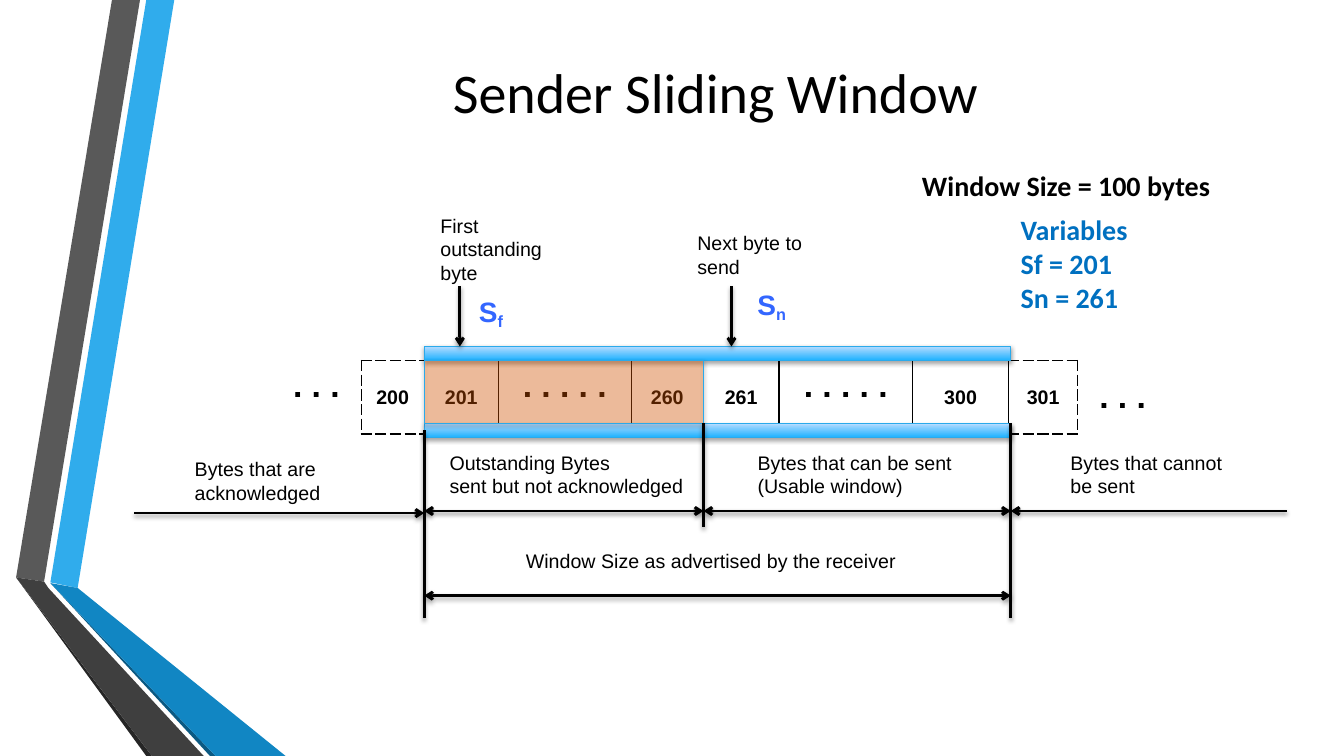
from pptx import Presentation
from pptx.dml.color import RGBColor as Rgb
from pptx.enum.shapes import MSO_CONNECTOR as Connector, MSO_SHAPE as Preset
from pptx.enum.text import MSO_ANCHOR as Anchor, PP_ALIGN as Align
from pptx.oxml.ns import qn
from pptx.util import Pt
from lxml.etree import SubElement

COLORS = {
    "black": "000000",
    "orange": "FF6600",
    "outline": "2AAAEB",
    "bar_dark": "1DB2FF",
    "bar_light": "B5DBFF",
    "variable": "0070C0",
    "pointer": "3366FF",
    "sky": "30ACEC",
    "gray": "595959",
    "charcoal": "262626",
    "navy": "0B5982",
    "blue": "1186C3",
    "dark_gray": "3F3F3F",
}


def color(name):
    return Rgb.from_string(COLORS[name])


class SlidePainter:
    def __init__(self, slide, font="Arial", size=14):
        self.slide = slide
        self.shapes = slide.shapes
        self.font = font
        self.size = size

    def add_run(self, paragraph, text, size=None, font=None, fill="black", bold=False):
        run = paragraph.add_run()
        run.text = text
        run.font.size = Pt(size or self.size)
        run.font.name = font or self.font
        run.font.bold = bold
        run.font.color.rgb = color(fill)
        return run

    def text(self, box, lines, subscript=None, align=Align.LEFT, anchor=Anchor.TOP, **style):
        frame = self.shapes.add_textbox(*map(Pt, box)).text_frame
        frame.word_wrap = True
        frame.vertical_anchor = anchor
        for index, line in enumerate(lines):
            paragraph = frame.add_paragraph() if index else frame.paragraphs[0]
            paragraph.alignment = align
            self.add_run(paragraph, line, **style)
        if subscript:
            run = self.add_run(paragraph, subscript, **style)
            run._r.get_or_add_rPr().set("baseline", "-19000")

    def shadow(self, effects, opacity):
        outer = SubElement(effects, qn("a:outerShdw"), blurRad=str(Pt(3.1)),
                           dist=str(Pt(1.7)), dir="5400000", rotWithShape="0")
        black = SubElement(outer, qn("a:srgbClr"), val=COLORS["black"])
        SubElement(black, qn("a:alpha"), val=str(opacity * 1000))

    def rectangle(self, box):
        shape = self.shapes.add_shape(Preset.RECTANGLE, *map(Pt, box))
        shape.shadow.inherit = False
        self.shadow(shape.element.spPr.find(qn("a:effectLst")), 35)
        shape.line.color.rgb = color("outline")
        shape.line.width = Pt(0.75)
        return shape

    def bar(self, box):
        shape = self.rectangle(box)
        shape.fill.gradient()
        shape.fill.gradient_angle = 90
        for stop, position, name in zip(shape.fill.gradient_stops, (0, 1), ("bar_dark", "bar_light")):
            stop.position = position
            stop.color.rgb = color(name)
        return shape

    def overlay(self, box, fill, opacity):
        shape = self.rectangle(box)
        shape.fill.solid()
        shape.fill.fore_color.rgb = color(fill)
        tone = shape.element.spPr.find(qn("a:solidFill"))[0]
        SubElement(tone, qn("a:alpha"), val=str(opacity * 1000))

    def line(self, start, end, arrows=()):
        connector = self.shapes.add_connector(Connector.STRAIGHT, *map(Pt, start + end))
        connector.line.color.rgb = color("black")
        connector.line.width = Pt(2)
        outline = connector.line._get_or_add_ln()
        for arrow in arrows:
            SubElement(outline, qn(f"a:{arrow}"), type="arrow")
        self.shadow(SubElement(connector.element.spPr, qn("a:effectLst")), 38)
        return connector

    def polygon(self, points, fill):
        corners = [(Pt(x), Pt(y)) for x, y in points]
        builder = self.shapes.build_freeform(*corners[0])
        builder.add_line_segments(corners[1:], close=True)
        shape = builder.convert_to_shape()
        shape.shadow.inherit = False
        shape.fill.solid()
        shape.fill.fore_color.rgb = color(fill)
        shape.line.fill.background()

    def border(self, cell, side, dash):
        properties = cell._tc.get_or_add_tcPr()
        outline = SubElement(properties, qn(f"a:ln{side}"), w=str(Pt(1)))
        if dash is None:
            SubElement(outline, qn("a:noFill"))
            return
        fill = SubElement(outline, qn("a:solidFill"))
        SubElement(fill, qn("a:srgbClr"), val=COLORS["black"])
        SubElement(outline, qn("a:prstDash"), val=dash)

    def byte_row(self, left, top, height, columns):
        frame = self.shapes.add_table(1, len(columns), Pt(left), Pt(top),
                                      Pt(sum(width for _, width, _ in columns)), Pt(height))
        table = frame.table
        table.first_row = table.horz_banding = False
        table.rows[0].height = Pt(height)
        for index, (label, width, borders) in enumerate(columns):
            table.columns[index].width = Pt(width)
            cell = table.cell(0, index)
            for side, dash in zip("LRTB", borders):
                self.border(cell, side, dash)
            cell.fill.background()
            cell.vertical_anchor = Anchor.MIDDLE
            dotted = label.startswith(".")
            if dotted and index < len(columns) - 1:
                cell.margin_bottom = Pt(19.4)
            paragraph = cell.text_frame.paragraphs[0]
            paragraph.alignment = Align.CENTER
            self.add_run(paragraph, label, size=24 if dotted else 14, bold=True)


def main():
    presentation = Presentation()
    presentation.slide_width, presentation.slide_height = Pt(960), Pt(540)
    painter = SlidePainter(presentation.slides.add_slide(presentation.slide_layouts[6]))

    ribbons = [
        ("sky", [(36, 416), (55.5, 420), (124.5, 0), (104.5, 0)]),
        ("gray", [(100, 0), (80, 0), (11.5, 412.5), (31.5, 415.5)]),
        ("charcoal", [(11.5, 412.5), (104.5, 540), (108.5, 540)]),
        ("navy", [(36, 416.5), (150, 540), (154, 540)]),
        ("blue", [(36, 416.5), (154, 540), (204, 540), (55.5, 420)]),
        ("dark_gray", [(145.5, 540), (34.5, 420), (31.5, 415.5), (11.5, 412.5), (108.5, 540)]),
    ]
    for fill, points in ribbons:
        painter.polygon(points, fill)

    left, middle, right = 303, 502.5, 722
    row_top, bar_height, lower_bar = 257.5, 10, 302.5
    solid = ("solid",) * 4
    painter.byte_row(194, row_top, 52.5, [
        (". . .", 64, (None, "dash", None, None)),
        ("200", 45, ("dash", "solid", "dash", "dash")),
        ("201", 53, solid),
        (". . . . .", 95, solid),
        ("260", 51.5, solid),
        ("261", 54, solid),
        (". . . . .", 95.5, solid),
        ("300", 68.5, solid),
        ("301", 49.5, ("solid", "dash", "dash", "dash")),
        (". . .", 64, ("dash", None, None, None)),
    ])

    painter.bar((left, row_top - bar_height, right - left, bar_height))
    bottom_bar = painter.bar((left, lower_bar, right - left, bar_height))
    painter.overlay((left, row_top, middle - left, lower_bar - row_top), "orange", 32)

    left_marker = painter.line((left, lower_bar + bar_height / 2), (left, 441.5))
    left_marker.begin_connect(bottom_bar, 1)
    for x, bottom in ((middle, 376.5), (right, 441.5)):
        painter.line((x, lower_bar), (x, bottom))

    both, tail = ("headEnd", "tailEnd"), ("tailEnd",)
    for start, end, y, arrows in (
        (left, right, 425.5, both),
        (left, middle, 365, both),
        (middle, right, 365, both),
        (919, right, 365, tail),
        (96, left, 366.5, tail),
    ):
        painter.line((start, y), (end, y), arrows)
    for x in (328.5, 522.5):
        painter.line((x, 204.5), (x, row_top - bar_height), tail)

    for box, lines in (
        ((132, 323, 125, 41), ["Bytes that are acknowledged"]),
        ((314, 318.5, 207, 41), ["Outstanding Bytes", "sent but not acknowledged"]),
        ((534, 318.5, 170, 41), ["Bytes that can be sent (Usable window)"]),
        ((757.5, 318.5, 125, 41), ["Bytes that cannot be sent"]),
        ((368.5, 388.5, 328, 24.5), ["Window Size as advertised by the receiver"]),
        ((307.5, 149, 95, 58), ["First outstanding byte"]),
        ((491, 161.5, 95, 41), ["Next byte to send"]),
    ):
        painter.text(box, lines)

    for box, subscript in (((335, 206.5, 35, 31.5), "f"), ((534, 201.5, 39, 31.5), "n")):
        painter.text(box, ["S"], subscript, size=20, fill="pointer", bold=True)

    heading = {"font": "Calibri", "size": 20, "bold": True}
    painter.text((651.5, 116.5, 278, 31.5), ["Window Size = 100 bytes"], **heading)
    painter.text((722, 148.5, 197, 80), ["Variables", "Sf = 201", "Sn = 261"], fill="variable", **heading)
    painter.text((116.5, 29, 789, 72), ["Sender Sliding Window"], align=Align.CENTER,
                 anchor=Anchor.MIDDLE, font="Calibri", size=40)

    presentation.save("out.pptx")


if __name__ == "__main__":
    main()
